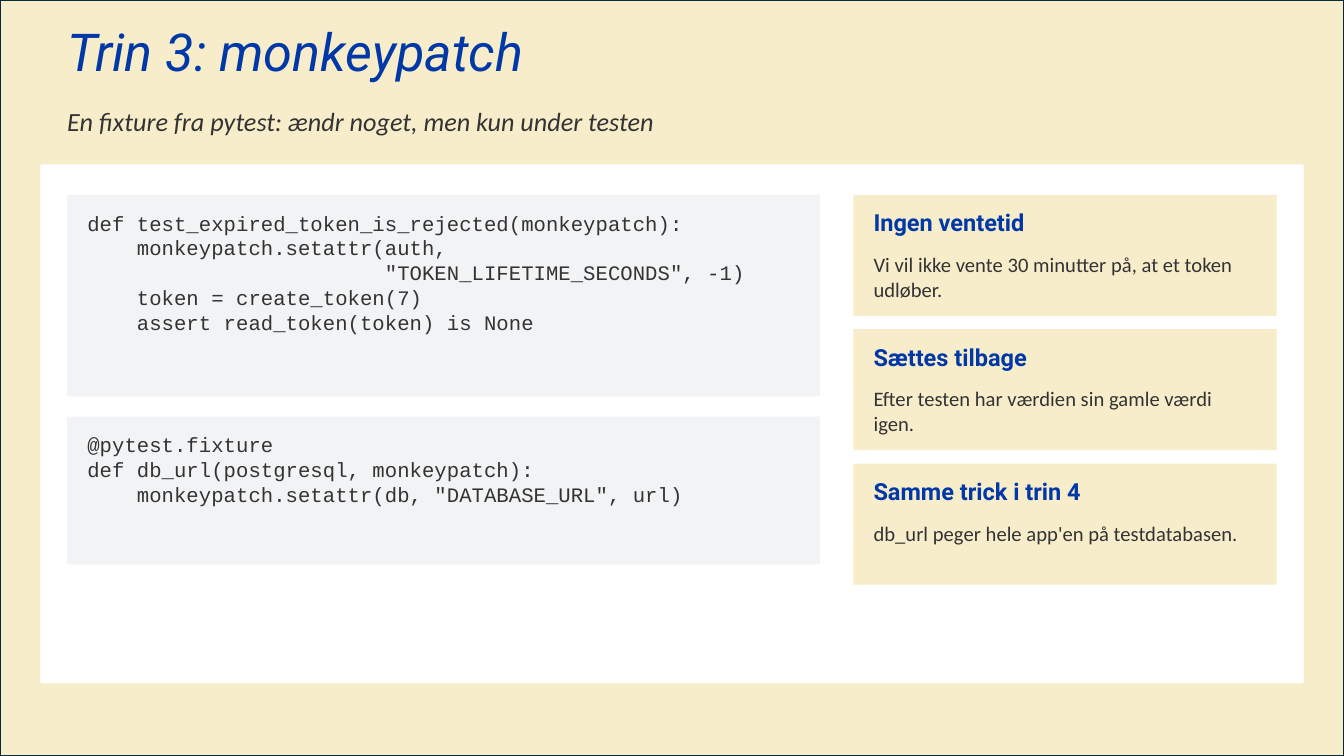
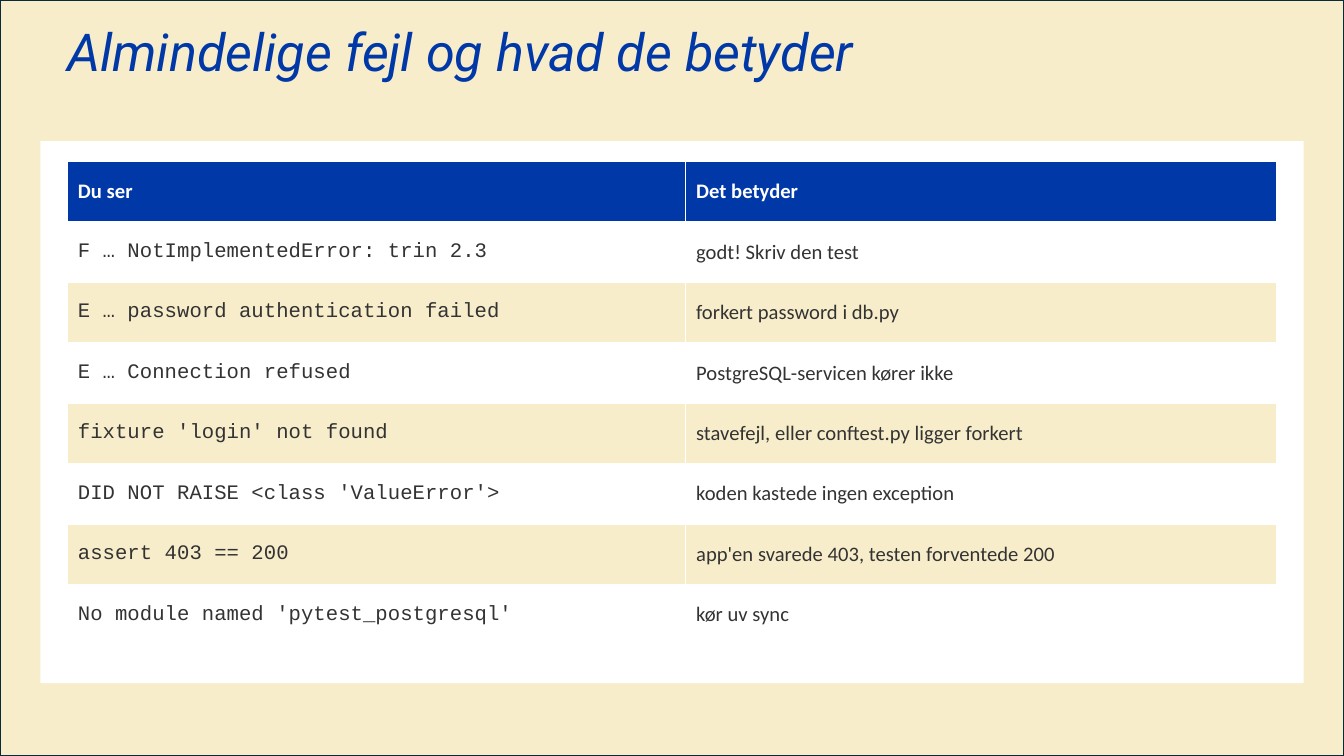
"""Build two slides on pytest: the monkeypatch fixture and common errors."""
from pptx import Presentation
from pptx.dml.color import RGBColor
from pptx.enum import shapes, text
from pptx.util import Pt

COLORS = {"cream": "F8EDCA", "white": "FFFFFF", "gray": "F2F3F4",
          "blue": "0038A8", "ink": "333333", "edge": "092A39"}
HEAD, BODY, CODE = "Roboto", "Calibri", "Courier New"
WIDTH, HEIGHT = 960, 540
LEFT, CONTENT_W = 48, 864
PANEL_LEFT, PANEL_BOTTOM = 28.8, 488
TEXT_SIZE = 14.7

PATCH_TITLE = "Trin 3: monkeypatch"
PATCH_SUBTITLE = "En fixture fra pytest: ændr noget, men kun under testen"
CODE_BLOCKS = [
    (144, """def test_expired_token_is_rejected(monkeypatch):
    monkeypatch.setattr(auth,
                        "TOKEN_LIFETIME_SECONDS", -1)
    token = create_token(7)
    assert read_token(token) is None"""),
    (105.6, """@pytest.fixture
def db_url(postgresql, monkeypatch):
    monkeypatch.setattr(db, "DATABASE_URL", url)"""),
]
CARDS = [
    ("Ingen ventetid", "Vi vil ikke vente 30 minutter på, at et token udløber."),
    ("Sættes tilbage", "Efter testen har værdien sin gamle værdi igen."),
    ("Samme trick i trin 4", "db_url peger hele app'en på testdatabasen."),
]

ERRORS_TITLE = "Almindelige fejl og hvad de betyder"
ERRORS = [
    ("Du ser", "Det betyder"),
    ("F … NotImplementedError: trin 2.3", "godt! Skriv den test"),
    ("E … password authentication failed", "forkert password i db.py"),
    ("E … Connection refused", "PostgreSQL-servicen kører ikke"),
    ("fixture 'login' not found", "stavefejl, eller conftest.py ligger forkert"),
    ("DID NOT RAISE <class 'ValueError'>", "koden kastede ingen exception"),
    ("assert 403 == 200", "app'en svarede 403, testen forventede 200"),
    ("No module named 'pytest_postgresql'", "kør uv sync"),
]
COLUMN_WIDTHS = (441.6, 422.4)
ROW_H = 43.2


def rgb(name):
    return RGBColor.from_string(COLORS[name])


def style(p, font, size, color, bold=False, italic=False):
    f = p.font
    f.name, f.size, f.bold, f.italic = font, Pt(size), bold, italic
    f.color.rgb = rgb(color)


def set_margins(obj, x, y):
    obj.margin_left = obj.margin_right = Pt(x)
    obj.margin_top = obj.margin_bottom = Pt(y)


def add_rect(s, x, y, w, h, fill, line=None):
    sp = s.shapes.add_shape(shapes.MSO_SHAPE.RECTANGLE, Pt(x), Pt(y), Pt(w), Pt(h))
    sp.shadow.inherit = False
    sp.fill.solid()
    sp.fill.fore_color.rgb = rgb(fill)
    if line:
        sp.line.color.rgb = rgb(line)
        sp.line.width = Pt(1.5)
    else:
        sp.line.fill.background()
    return sp


def add_text_rect(s, x, y, w, h, fill, content, margin_y):
    tf = add_rect(s, x, y, w, h, fill).text_frame
    tf.word_wrap = True
    tf.vertical_anchor = text.MSO_ANCHOR.TOP
    set_margins(tf, 14.4, margin_y)
    tf.text = content
    for p in tf.paragraphs:
        p.alignment = text.PP_ALIGN.LEFT
    return tf.paragraphs


def add_label(s, y, h, content, font, size, color):
    tf = s.shapes.add_textbox(Pt(LEFT), Pt(y), Pt(CONTENT_W), Pt(h)).text_frame
    tf.word_wrap = True
    set_margins(tf, 0, 0)
    tf.text = content
    p = tf.paragraphs[0]
    style(p, font, size, color, italic=True)
    return p


def add_slide(prs, title, panel_top):
    s = prs.slides.add_slide(prs.slide_layouts[6])
    add_rect(s, 0, 0, WIDTH, HEIGHT, "cream", "edge")
    add_label(s, 19.2, 52.8, title, HEAD, 37.3, "blue").line_spacing = 0.9
    add_rect(s, PANEL_LEFT, panel_top, WIDTH - 2 * PANEL_LEFT,
             PANEL_BOTTOM - panel_top, "white")
    return s


def build_monkeypatch(prs):
    s = add_slide(prs, PATCH_TITLE, 117.4)
    add_label(s, 75, 33.6, PATCH_SUBTITLE, BODY, 18.7, "ink")
    top = 139.2
    y = top
    for h, code in CODE_BLOCKS:
        for p in add_text_rect(s, LEFT, y, 537.6, h, "gray", code, 11.2):
            style(p, CODE, TEXT_SIZE, "ink")
        y += h + 14.4
    card_w, card_h, gap = 302.4, 86.4, 9.6
    for i, card in enumerate(CARDS):
        heading, body = add_text_rect(
            s, LEFT + CONTENT_W - card_w, top + i * (card_h + gap),
            card_w, card_h, "cream", "\n".join(card), 9.6)
        style(heading, HEAD, 16.8, "blue", bold=True)
        style(body, BODY, TEXT_SIZE, "ink")
        body.space_before = Pt(11)


def build_errors(prs):
    s = add_slide(prs, ERRORS_TITLE, 100.8)
    table = s.shapes.add_table(len(ERRORS), len(COLUMN_WIDTHS), Pt(LEFT), Pt(115.2),
                               Pt(CONTENT_W), Pt(ROW_H * len(ERRORS))).table
    for column, w in zip(table.columns, COLUMN_WIDTHS):
        column.width = Pt(w)
    for r, row in enumerate(ERRORS):
        header = r == 0
        fill = "blue" if header else ("cream", "white")[r % 2]
        for c, content in enumerate(row):
            cell = table.cell(r, c)
            cell.text = content
            cell.vertical_anchor = text.MSO_ANCHOR.MIDDLE
            set_margins(cell, 7.7, 2.9)
            cell.fill.solid()
            cell.fill.fore_color.rgb = rgb(fill)
            style(cell.text_frame.paragraphs[0],
                  CODE if c == 0 and not header else BODY, TEXT_SIZE,
                  "white" if header else "ink", bold=header)


def main():
    prs = Presentation()
    prs.slide_width, prs.slide_height = Pt(WIDTH), Pt(HEIGHT)
    build_monkeypatch(prs)
    build_errors(prs)
    prs.save("out.pptx")


if __name__ == "__main__":
    main()
